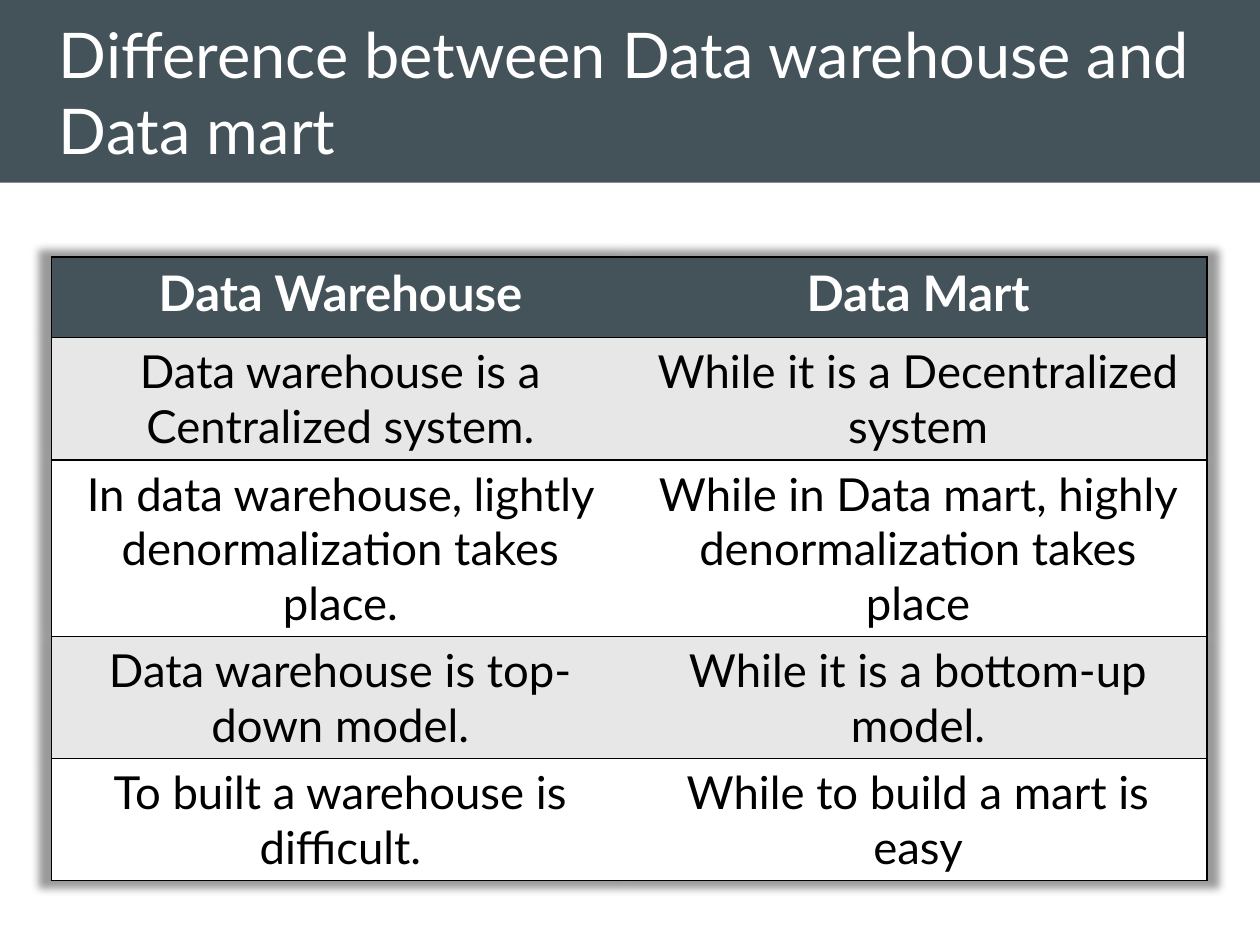
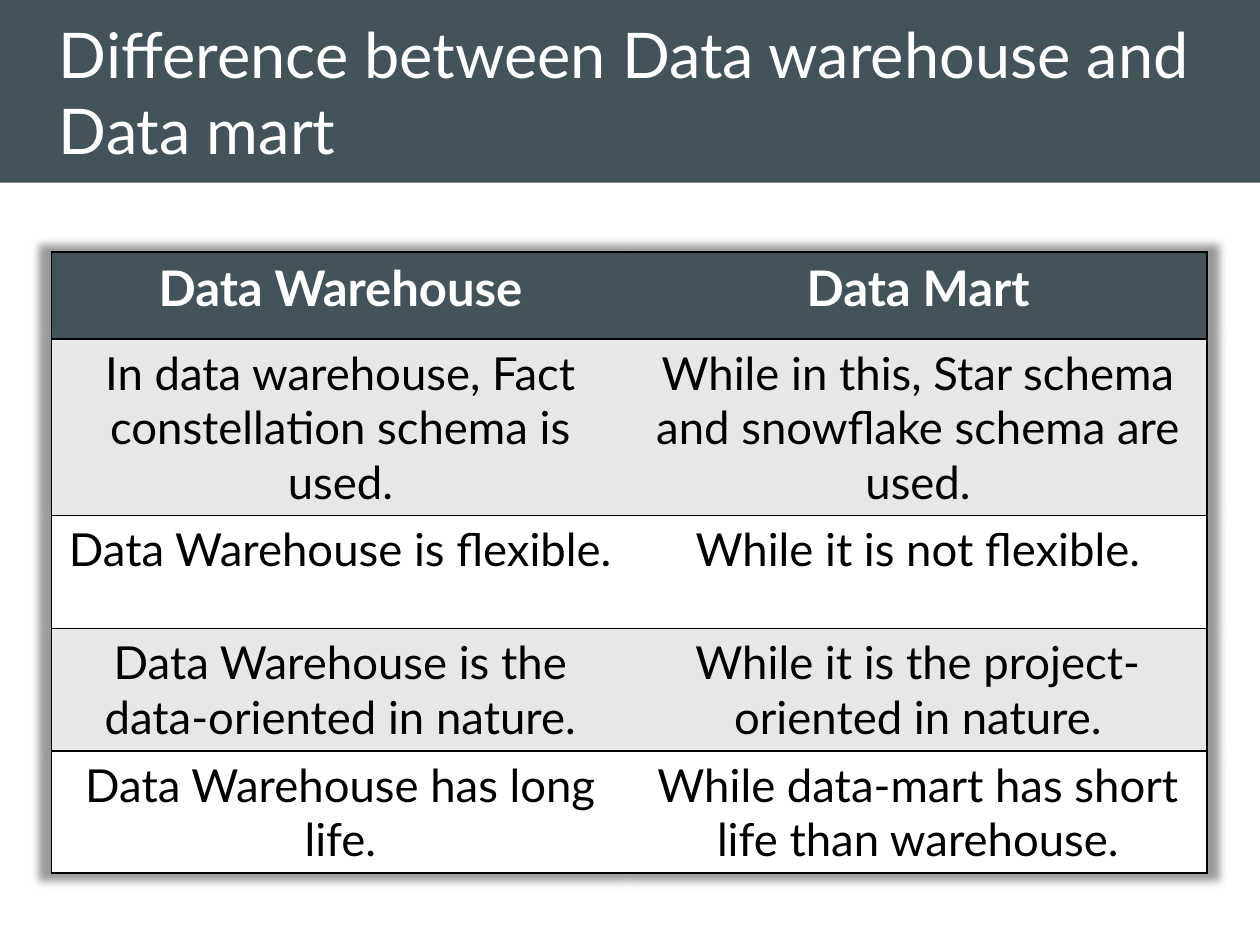
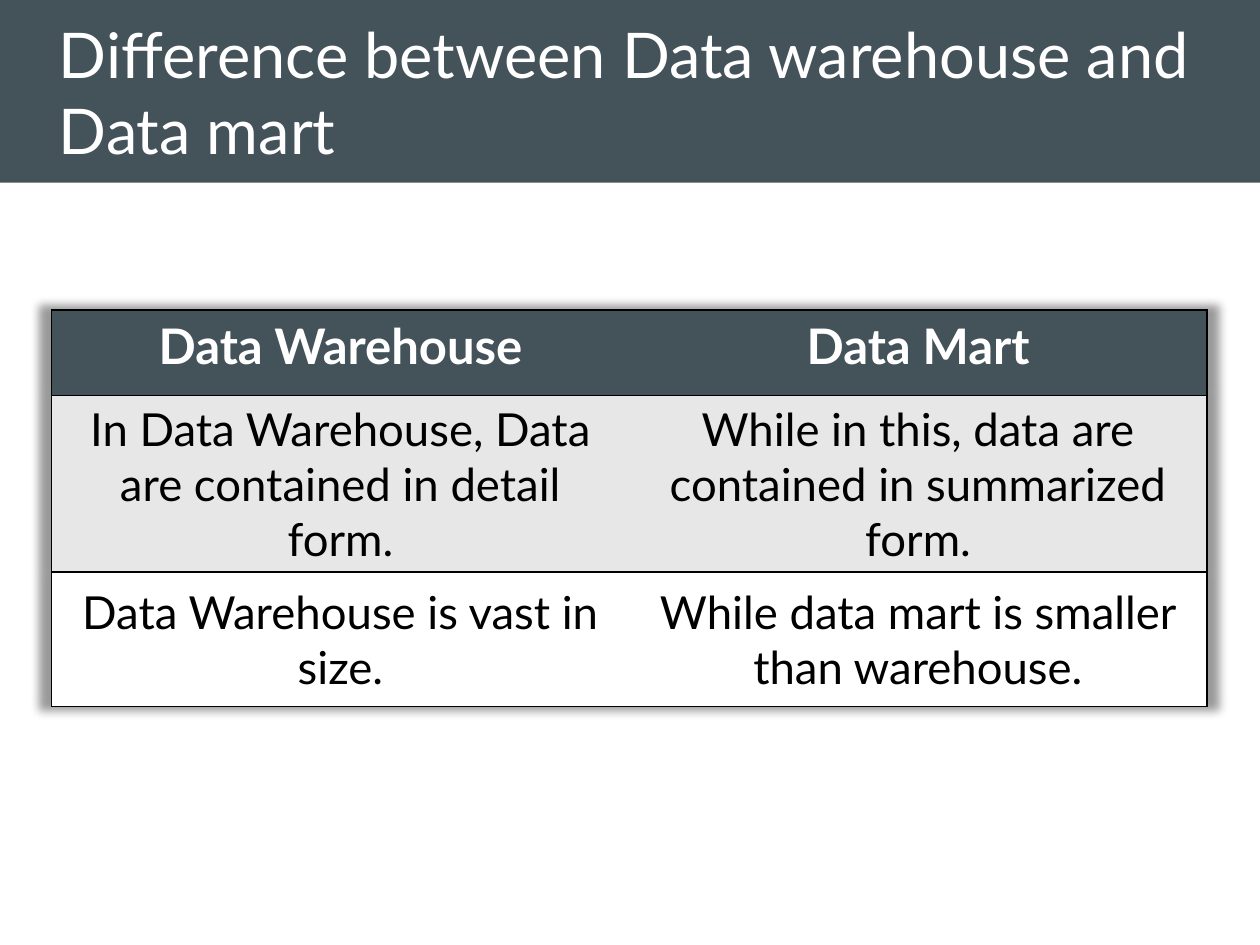
"""Build three slides comparing a data warehouse with a data mart."""
from lxml import etree
from pptx import Presentation
from pptx import util as u
from pptx.dml.color import RGBColor
from pptx.enum import shapes, text
from pptx.oxml import ns

FONT = "Lato"
SLATE, GREY, WHITE, BLACK = "44525A", "E7E7E7", "FFFFFF", "000000"
TITLE = "Difference between Data warehouse and Data mart"
HEADINGS = ("Data Warehouse", "Data Mart")
BAND_HEIGHT = 1.45
TABLE_LEFT, TABLE_WIDTH = 0.41, 9.17

COMPARISONS = [
    {
        "top": 2.04,
        "heights": (0.64, 0.97, 1.4, 0.97, 0.97),
        "rows": [
            ("Data warehouse is a Centralized system.",
             "While it is a Decentralized system"),
            ("In data warehouse, lightly denormalization takes place.",
             "While in Data mart, highly denormalization takes place"),
            ("Data warehouse is top-down model.",
             "While it is a bottom-up model."),
            ("To built a warehouse is difficult.",
             "While to build a mart is easy"),
        ],
    },
    {
        "top": 2,
        "heights": (0.69, 1.4, 0.9, 0.97, 0.97),
        "rows": [
            ("In data warehouse, Fact constellation schema is used.",
             "While in this, Star schema and snowflake schema are used."),
            ("Data Warehouse is flexible.",
             "While it is not flexible."),
            ("Data Warehouse is the data-oriented in nature.",
             "While it is the project-oriented in nature."),
            ("Data Warehouse has long life.",
             "While data-mart has short life than warehouse."),
        ],
    },
    {
        "top": 2.46,
        "heights": (0.68, 1.4, 1.06),
        "rows": [
            ("In Data Warehouse, Data are contained in detail form.",
             "While in this, data are contained in summarized form."),
            ("Data Warehouse is vast in size.",
             "While data mart is smaller than warehouse."),
        ],
        "padded_last_row": True,
    },
]


def color(value):
    """Turn a hex string into a colour."""
    return RGBColor.from_string(value)


def add_span(para, words, size, ink, bold=False):
    """Add one styled run to a paragraph."""
    span = para.add_run()
    span.text = words
    span.font.name = FONT
    span.font.size = u.Pt(size)
    span.font.bold = bold
    span.font.color.rgb = color(ink)


def add_element(parent, tag, **attributes):
    """Append a DrawingML element to its parent."""
    return etree.SubElement(parent, ns.qn(tag), attributes)


def add_title_band(page, width):
    """Draw the title on its full-width band."""
    band = page.shapes.add_shape(
        shapes.MSO_SHAPE.RECTANGLE, 0, 0, width, u.Inches(BAND_HEIGHT))
    band.shadow.inherit = False
    band.fill.solid()
    band.fill.fore_color.rgb = color(SLATE)
    band.line.fill.background()
    box = page.shapes.add_textbox(
        u.Inches(0.37), 0, u.Inches(TABLE_WIDTH), u.Inches(BAND_HEIGHT))
    frame = box.text_frame
    frame.word_wrap = True
    frame.vertical_anchor = text.MSO_ANCHOR.MIDDLE
    add_span(frame.paragraphs[0], TITLE, 36, WHITE)


def set_borders(cell, visible):
    """Rule the visible sides of a cell and clear the others."""
    properties = cell._tc.get_or_add_tcPr()
    for side in "LRTB":
        line = add_element(properties, f"a:ln{side}", w=str(u.Pt(1)))
        if side in visible:
            fill = add_element(line, "a:solidFill")
            add_element(fill, "a:srgbClr", val=BLACK)
        else:
            add_element(line, "a:noFill")


def add_table_shadow(table):
    """Put a soft shadow all around a table."""
    properties = table._tbl.tblPr
    effects = etree.Element(ns.qn("a:effectLst"))
    properties.insert(0, effects)
    shadow = add_element(effects, "a:outerShdw", blurRad="63500", sx="102000",
                         sy="102000", algn="ctr", rotWithShape="0")
    ink = add_element(shadow, "a:srgbClr", val=BLACK)
    add_element(ink, "a:alpha", val="40000")


def fill_cell(cell, words, row, column):
    """Style a cell by its row and column and write its words."""
    set_borders(cell, "LTB" if column == 0 else "RTB")
    header = row == 0
    cell.fill.solid()
    cell.fill.fore_color.rgb = color(
        SLATE if header else GREY if row % 2 else WHITE)
    para = cell.text_frame.paragraphs[0]
    para.alignment = text.PP_ALIGN.CENTER
    add_span(para, words, 28 if header else 26,
             WHITE if header else BLACK, header)


def pad_cell(cell):
    """Centre a cell vertically within wider top and bottom margins."""
    cell.vertical_anchor = text.MSO_ANCHOR.MIDDLE
    cell.margin_left = cell.margin_right = u.Inches(0.07)
    cell.margin_top = cell.margin_bottom = u.Inches(0.1)


def add_comparison(page, top, heights, rows, padded_last_row=False):
    """Add a two-column comparison table."""
    table = page.shapes.add_table(
        len(heights), len(HEADINGS), u.Inches(TABLE_LEFT), u.Inches(top),
        u.Inches(TABLE_WIDTH), u.Inches(sum(heights))).table
    table.horz_banding = False
    add_table_shadow(table)
    for row, (height, entries) in enumerate(zip(heights, [HEADINGS, *rows])):
        table.rows[row].height = u.Inches(height)
        for column, words in enumerate(entries):
            fill_cell(table.cell(row, column), words, row, column)
    if padded_last_row:
        for cell in table.rows[len(heights) - 1].cells:
            pad_cell(cell)


def main():
    """Build and save the deck."""
    deck = Presentation()
    deck.slide_width, deck.slide_height = u.Inches(10), u.Inches(7.5)
    for comparison in COMPARISONS:
        page = deck.slides.add_slide(deck.slide_layouts[6])
        add_title_band(page, deck.slide_width)
        add_comparison(page, **comparison)
    deck.save("out.pptx")


if __name__ == "__main__":
    main()
